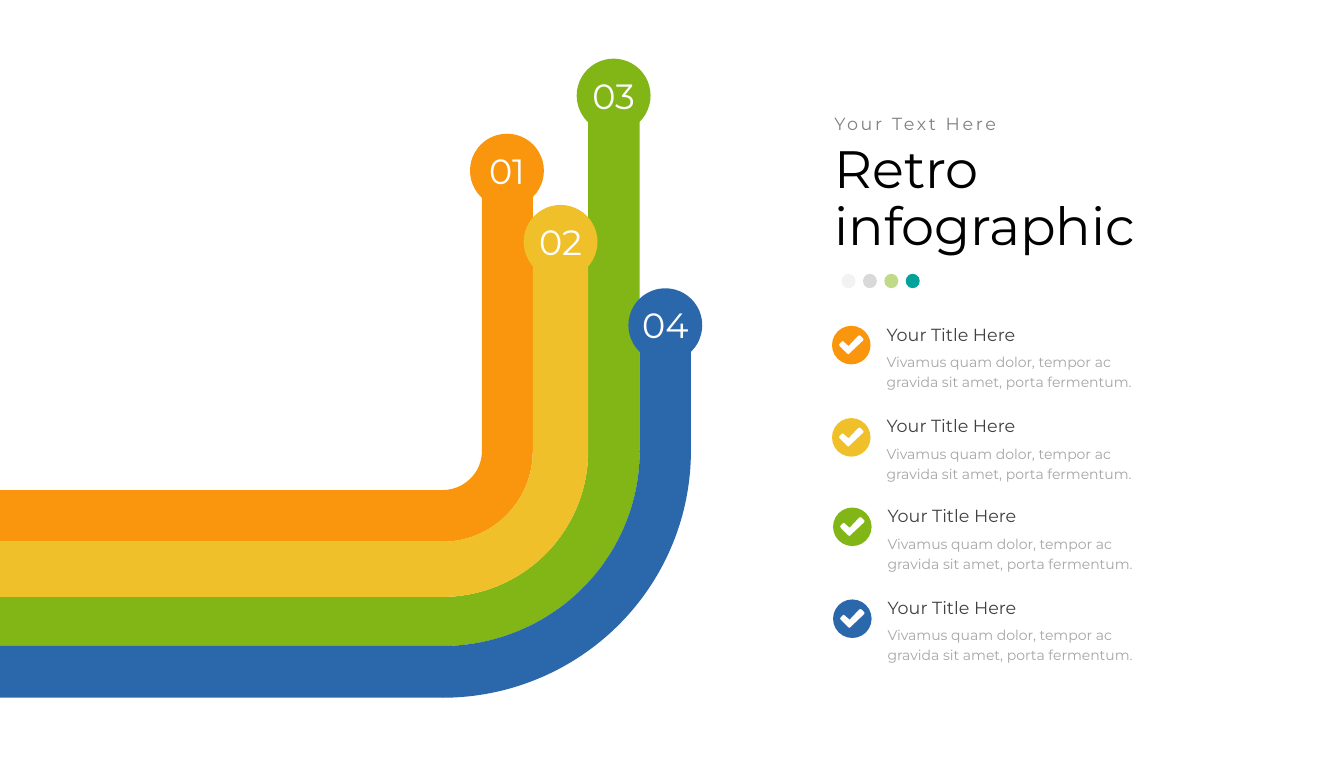
from lxml.etree import SubElement
from pptx import Presentation
from pptx.dml.color import RGBColor
from pptx.enum.shapes import MSO_SHAPE
from pptx.enum.text import MSO_AUTO_SIZE, PP_ALIGN
from pptx.oxml.ns import qn
from pptx.util import Pt

COLORS = {
    "orange": "F9960E", "yellow": "F0C02B", "green": "82B617", "blue": "2B68AB",
    "teal": "00A39B", "pale": "F2F2F2", "silver": "D9D9D9", "white": "FFFFFF",
    "black": "000000", "label": "808080", "heading": "404040", "body": "A6A6A6",
}
FONT = "Montserrat"
LABEL = "Your Text Here"
TITLE = ["Retro", "infographic"]
ITEM_TITLE = "Your Title Here"
ITEM_BODY = "Vivamus quam dolor, tempor ac gravida sit amet, porta fermentum."
ITEMS = [
    ("orange", 949.4, 361.4, 396, 371.9),
    ("yellow", 949.4, 465.1, 500.6, 477.2),
    ("green", 950.6, 568.4, 603.4, 579.3),
    ("blue", 950.6, 672.5, 707.7, 684.2),
]
DOTS = [("pale", 100), ("silver", 98), ("green", 50), ("teal", 100)]
BANDS = [
    (0, "01", "orange", 578.5, 194.8, 206.6),
    (2, "03", "green", 700.2, 109.1, 98.6),
    (1, "02", "yellow", 639.7, 276.1, 277.2),
    (3, "04", "blue", 759.2, 371.2, 381.6),
]
BAND_X = [550, 608, 671.2, 730, 788.4]
BAND_Y = [559.4, 618.3, 681.3, 737.3, 796.4]
BEND_X, BEND_Y = 504.7, 514.8
OVERLAP = 1
QUARTER_TURN = 5400000
KNOB = 84.3
CHECK_DISC = 44
CHECK = [
    (27.4, 5.8), (13.7, 18.7), (11.5, 20.9), (10.8, 21.4), (9.4, 20.9),
    (7.2, 18.7), (0.7, 12.2), (0, 10.8), (0.7, 9.4), (2.9, 7.2), (4.3, 6.5),
    (5, 7.2), (10.8, 12.2), (21.6, 0.7), (23, 0), (24.5, 0.7), (27.4, 3.6),
    (27.7, 4.5),
]

presentation = Presentation()
presentation.slide_width = Pt(1533.6)
presentation.slide_height = Pt(864)
slide = presentation.slides.add_slide(presentation.slide_layouts[6])


def paint(shape, color, opacity=100):
    shape.shadow.inherit = False
    shape.fill.solid()
    shape.fill.fore_color.rgb = RGBColor.from_string(COLORS[color])
    shape.line.fill.background()
    if opacity < 100:
        tint = shape.fill._xPr.find(qn("a:solidFill"))[0]
        SubElement(tint, qn("a:alpha")).set("val", str(opacity * 1000))


def add_preset(kind, color, left, top, width, height, opacity=100):
    shape = slide.shapes.add_shape(kind, Pt(left), Pt(top), Pt(width), Pt(height))
    paint(shape, color, opacity)


def add_outline(color, points):
    start, *rest = [(Pt(x), Pt(y)) for x, y in points]
    builder = slide.shapes.build_freeform(*start, scale=1.0)
    builder.add_line_segments(rest, close=True)
    shape = builder.convert_to_shape()
    paint(shape, color)
    return shape


def add_bend(color, inner_x, outer_x, inner_y, outer_y):
    bend = add_outline(color, [(inner_x, BEND_Y), (BEND_X, inner_y),
                               (BEND_X, outer_y), (outer_x, BEND_Y)])
    inner_side, _, outer_side, *_ = list(bend._element.iter(qn("a:lnTo")))
    arcs = [(inner_side, inner_x, inner_y, 0, QUARTER_TURN),
            (outer_side, outer_x, outer_y, QUARTER_TURN, -QUARTER_TURN)]
    for side, edge_x, edge_y, start, sweep in arcs:
        arc = SubElement(side.getparent(), qn("a:arcTo"))
        values = {"wR": Pt(edge_x - BEND_X), "hR": Pt(edge_y - BEND_Y),
                  "stAng": start, "swAng": sweep}
        for name, value in values.items():
            arc.set(name, str(int(value)))
        side.getparent().replace(side, arc)


def add_text(lines, left, top, width, height, size, color, spacing=1.0,
             tracking=0, wrap=True, fit=MSO_AUTO_SIZE.NONE, align=PP_ALIGN.LEFT):
    frame = slide.shapes.add_textbox(Pt(left), Pt(top), Pt(width), Pt(height)).text_frame
    frame.word_wrap = wrap
    frame.auto_size = fit
    for index, line in enumerate(lines):
        paragraph = frame.paragraphs[0] if index == 0 else frame.add_paragraph()
        for name, value in {"alignment": align, "line_spacing": spacing}.items():
            setattr(paragraph, name, value)
        run = paragraph.add_run()
        run.text = line
        for name, value in {"name": FONT, "size": Pt(size)}.items():
            setattr(run.font, name, value)
        run.font.color.rgb = RGBColor.from_string(COLORS[color])
        if tracking:
            run._r.get_or_add_rPr().set("spc", str(tracking * 100))


add_text(TITLE, 945, 159.8, 371.5, 141.8, 60, "black", spacing=0.9)
add_text([LABEL], 945, 128, 226, 31.7, 20, "label", spacing=0.9, tracking=3)

for index, (color, opacity) in enumerate(DOTS):
    add_preset(MSO_SHAPE.OVAL, color, 960.3 + 24.4 * index, 312.5, 16, 16.5, opacity)

for color, left, title_top, body_top, disc_top in ITEMS:
    grow = {"spacing": 1.2, "fit": MSO_AUTO_SIZE.SHAPE_TO_FIT_TEXT}
    add_text([ITEM_TITLE], left + 55.2, title_top, 210.2, 36, 20, "heading", **grow)
    add_text([ITEM_BODY], left + 55.2, body_top, 295.9, 54, 16, "body", **grow)
    add_preset(MSO_SHAPE.OVAL, color, left, disc_top, CHECK_DISC, CHECK_DISC)
    add_outline("white", [(left + 8.1 + x, disc_top + 10.9 + y) for x, y in CHECK])

for lane, number, color, center_x, center_y, stem_top in BANDS:
    inner_x, outer_x = BAND_X[lane:lane + 2]
    inner_y, outer_y = BAND_Y[lane:lane + 2]
    add_preset(MSO_SHAPE.RECTANGLE, color, inner_x, stem_top,
               outer_x - inner_x, BEND_Y + OVERLAP - stem_top)
    add_bend(color, inner_x, outer_x, inner_y, outer_y)
    add_preset(MSO_SHAPE.RECTANGLE, color, 0, inner_y, BEND_X + OVERLAP, outer_y - inner_y)
    add_preset(MSO_SHAPE.OVAL, color, center_x - KNOB / 2, center_y - KNOB / 2, KNOB, KNOB)

for lane, number, color, center_x, center_y, stem_top in sorted(BANDS):
    add_text([number], center_x - 35, center_y - 28, 70, 55.4, 40, "white", wrap=False,
             fit=MSO_AUTO_SIZE.SHAPE_TO_FIT_TEXT, align=PP_ALIGN.CENTER)

presentation.save("out.pptx")
